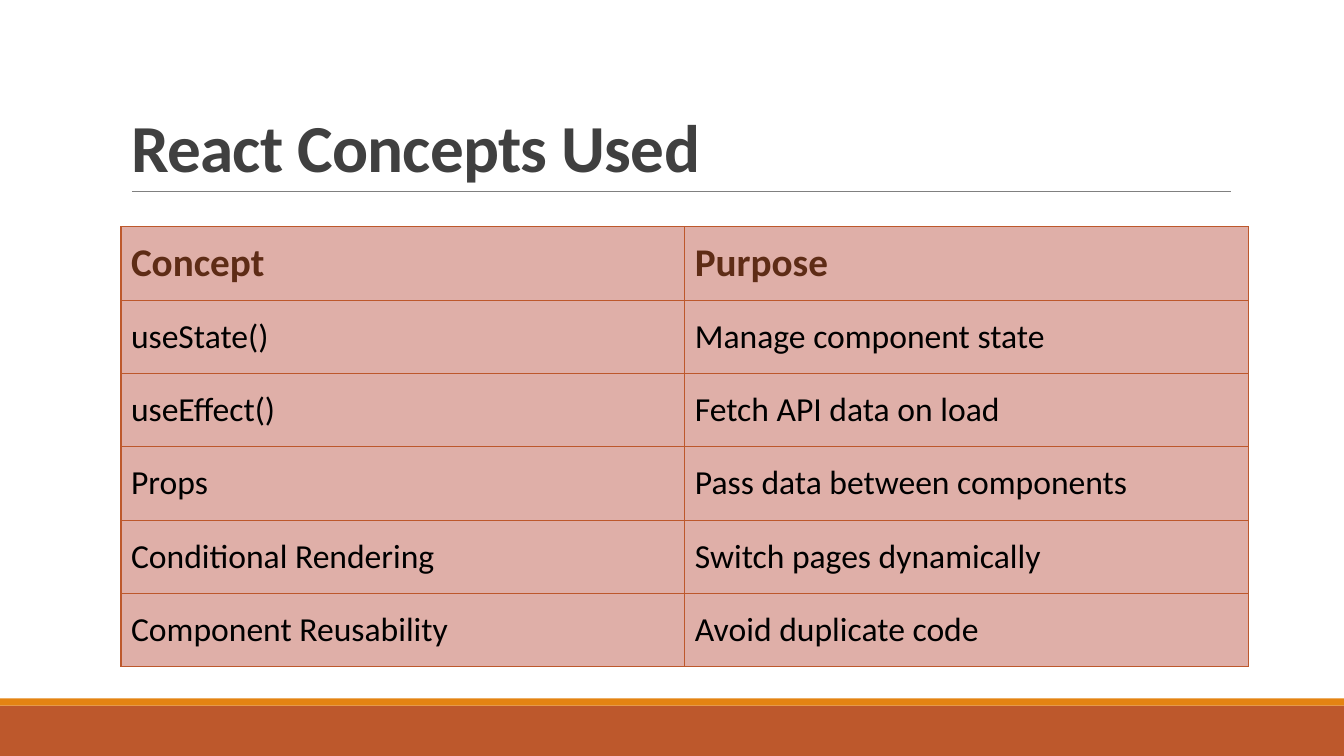
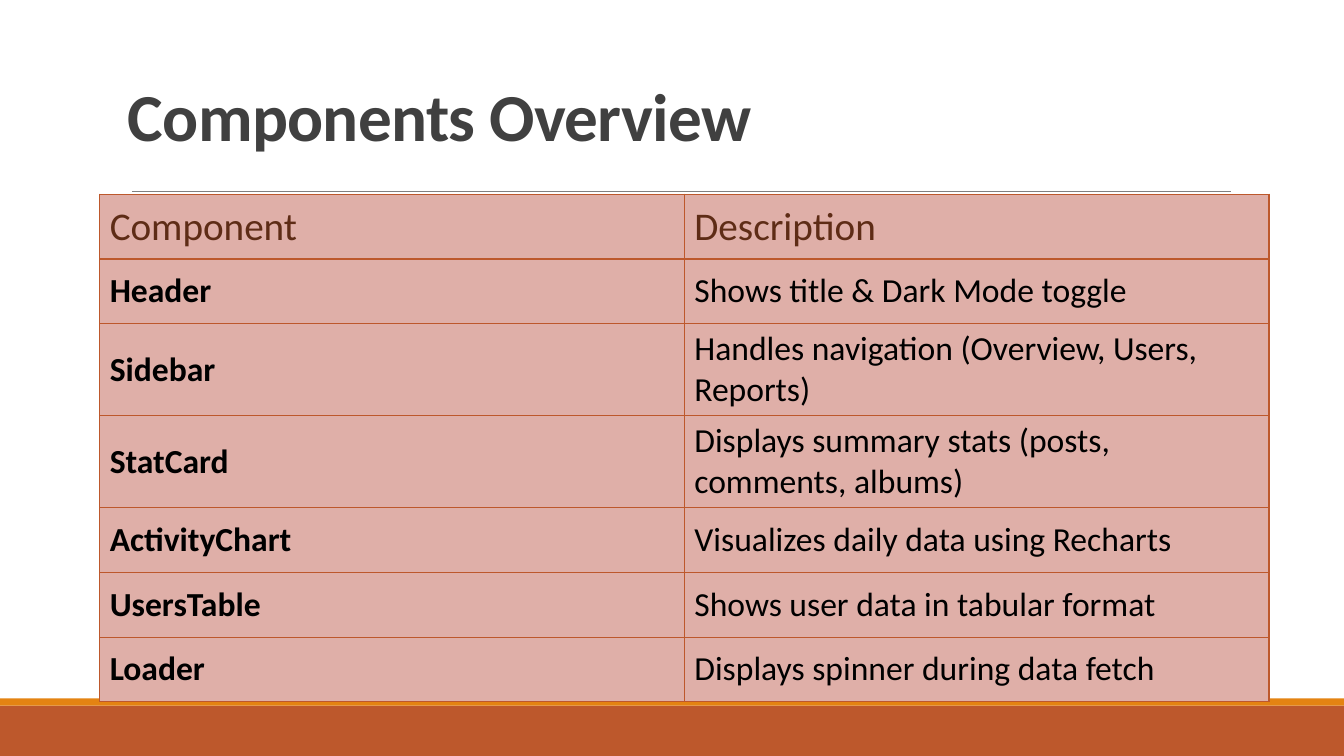
from dataclasses import dataclass

from lxml.etree import SubElement
from pptx import Presentation
from pptx.dml.color import RGBColor
from pptx.enum.shapes import MSO_CONNECTOR, MSO_SHAPE
from pptx.enum.text import MSO_ANCHOR, MSO_AUTO_SIZE, PP_ALIGN
from pptx.oxml.ns import qn
from pptx.util import Pt


@dataclass(frozen=True)
class Theme:
    font: str = "Calibri"
    title_color: str = "404040"
    header_color: str = "5E2C16"
    body_color: str = "000000"
    band: str = "BD582C"
    stripe: str = "E48312"
    rule: str = "808080"
    cell: str = "DFAFA8"
    title_size: int = 48
    header_size: int = 28
    body_size: int = 24


theme = Theme()


def write(frame, text, *, size, color, bold=False, anchor=MSO_ANCHOR.MIDDLE,
          line_spacing=None, tracking=None):
    """Put one formatted, left-aligned paragraph in a text frame or cell."""
    frame.vertical_anchor = anchor
    para = getattr(frame, "text_frame", frame).paragraphs[0]
    para.alignment = PP_ALIGN.LEFT
    if line_spacing:
        para.line_spacing = line_spacing
    span = para.add_run()
    span.text = text
    span.font.name = theme.font
    span.font.size = Pt(size)
    span.font.bold = bold
    span.font.color.rgb = RGBColor.from_string(color)
    if tracking:
        span.font._element.set("spc", str(round(tracking * 100)))


def add_border(cell, color, width):
    """Draw all four borders of a table cell."""
    properties = cell._tc.get_or_add_tcPr()
    for side in ("a:lnL", "a:lnR", "a:lnT", "a:lnB"):
        line = SubElement(properties, qn(side), w=str(Pt(width)))
        fill = SubElement(line, qn("a:solidFill"))
        SubElement(fill, qn("a:srgbClr"), val=color)


# Content: title position, table position and size, row height, rows
pages = [
    dict(
        title="React Concepts Used", title_at=(86.4, 22.3),
        table_at=(86.4, 162), table_width=805.6, row_height=52.4,
        header_bold=True, first_column_bold=False,
        rows=[
            ("Concept", "Purpose"),
            ("useState()", "Manage component state"),
            ("useEffect()", "Fetch API data on load"),
            ("Props", "Pass data between components"),
            ("Conditional Rendering", "Switch pages dynamically"),
            ("Component Reusability", "Avoid duplicate code"),
        ],
    ),
    dict(
        title="Components Overview", title_at=(84.2, 0),
        table_at=(71.2, 138.8), table_width=835.2, row_height=46.2,
        header_bold=False, first_column_bold=True,
        rows=[
            ("Component", "Description"),
            ("Header", "Shows title & Dark Mode toggle"),
            ("Sidebar", "Handles navigation (Overview, Users, Reports)"),
            ("StatCard", "Displays summary stats (posts, comments, albums)"),
            ("ActivityChart", "Visualizes daily data using Recharts"),
            ("UsersTable", "Shows user data in tabular format"),
            ("Loader", "Displays spinner during data fetch"),
        ],
    ),
]

deck = Presentation()
deck.slide_width, deck.slide_height = Pt(960), Pt(540)
layout = deck.slide_layouts[5]
for placeholder in list(layout.placeholders)[1:]:
    placeholder.element.getparent().remove(placeholder.element)

for number, content in enumerate(pages):
    page = deck.slides.add_slide(layout)

    # Shared bands and title rule: drawn once, then moved to the layout
    if number == 0:
        shared = []
        for top, height, color in ((504, 36, theme.band), (498.8, 5.2, theme.stripe)):
            band = page.shapes.add_shape(MSO_SHAPE.RECTANGLE, 0, Pt(top),
                                         deck.slide_width, Pt(height))
            band.shadow.inherit = False
            band.fill.solid()
            band.fill.fore_color.rgb = RGBColor.from_string(color)
            band.line.fill.background()
            shared.append(band)
        rule = page.shapes.add_connector(MSO_CONNECTOR.STRAIGHT, Pt(94.3), Pt(136.8),
                                         Pt(879), Pt(136.8))
        rule.line.color.rgb = RGBColor.from_string(theme.rule)
        rule.line.width = Pt(0.5)
        SubElement(rule._element.spPr, qn("a:effectLst"))
        shared.append(rule)
        for shape in shared:
            layout.shapes.element.append(shape.element)

    # Title
    title = page.shapes.title
    title.left, title.top = (Pt(value) for value in content["title_at"])
    title.width, title.height = Pt(792), Pt(114.5)
    title.text_frame.word_wrap = True
    title.text_frame.auto_size = MSO_AUTO_SIZE.NONE
    write(title.text_frame, content["title"], size=theme.title_size,
          color=theme.title_color, bold=True, anchor=MSO_ANCHOR.BOTTOM,
          line_spacing=0.85, tracking=-0.5)

    # Table
    rows = content["rows"]
    left, top = (Pt(value) for value in content["table_at"])
    table = page.shapes.add_table(len(rows), 2, left, top, Pt(content["table_width"]),
                                  Pt(content["row_height"] * len(rows))).table
    table.first_row = table.horz_banding = False
    for row_index, texts in enumerate(rows):
        header = row_index == 0
        for column_index, text in enumerate(texts):
            cell = table.cell(row_index, column_index)
            add_border(cell, theme.band, 1)
            cell.fill.solid()
            cell.fill.fore_color.rgb = RGBColor.from_string(theme.cell)
            write(cell, text,
                  size=theme.header_size if header else theme.body_size,
                  color=theme.header_color if header else theme.body_color,
                  bold=content["header_bold"] if header
                  else content["first_column_bold"] and column_index == 0)

deck.save("out.pptx")
